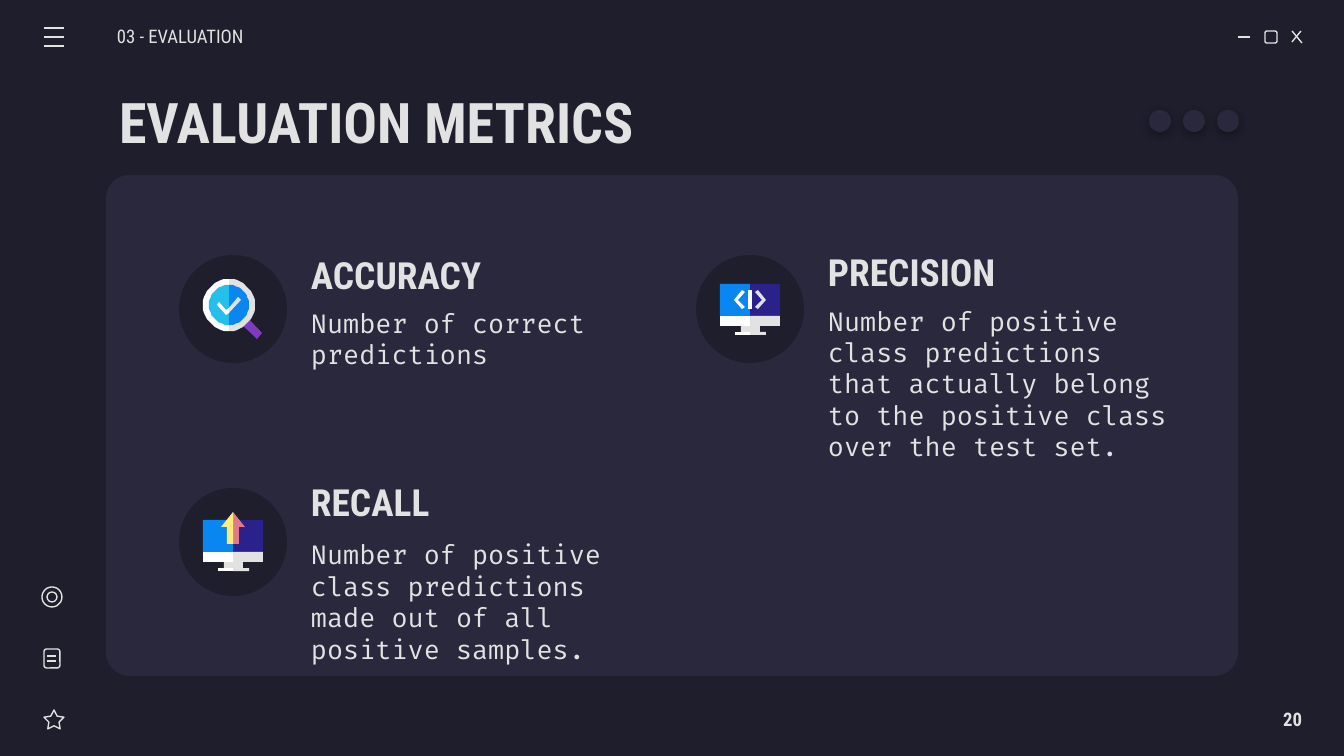
from dataclasses import dataclass
from math import cos, pi, sin

from lxml.etree import SubElement
from pptx import Presentation
from pptx.dml.color import RGBColor
from pptx.enum.shapes import MSO_CONNECTOR, MSO_SHAPE
from pptx.enum.text import MSO_ANCHOR, MSO_AUTO_SIZE, PP_ALIGN
from pptx.oxml import parse_xml
from pptx.oxml.ns import nsdecls, qn
from pptx.util import Pt

EMU_PER_PX = 914400 / 134.4


@dataclass(frozen=True)
class Theme:
    """Colours, fonts and type sizes of the deck."""
    night: str = "1E1E2C"
    panel: str = "29283D"
    light: str = "E2E2E2"
    white: str = "FFFFFF"
    blue: str = "0887F2"
    indigo: str = "2B218D"
    cyan: str = "24BFEB"
    purple: str = "7E3BBE"
    yellow: str = "FFEA7D"
    pink: str = "E07A88"
    heading_font: str = "Roboto Condensed"
    body_font: str = "Fira Code"
    title_size: int = 30
    heading_size: int = 20
    body_size: int = 14
    small_size: int = 10
    stroke: float = 0.75


def px(length):
    """Turn a length in px into EMU."""
    return round(length * EMU_PER_PX)


def half_disc(radius, side):
    """Return the outline of a half disc, with side -1 for left and 1 for right."""
    steps = 32
    angles = [pi * step / steps for step in range(steps + 1)]
    return [(side * radius * sin(angle), -radius * cos(angle)) for angle in angles]


def write_text(shape, text, size, font, color, bold=False, align=PP_ALIGN.LEFT,
               left_inset=13, right_inset=13):
    """Put one formatted paragraph into a shape."""
    frame = shape.text_frame
    frame.word_wrap = True
    frame.auto_size = MSO_AUTO_SIZE.NONE
    frame.vertical_anchor = MSO_ANCHOR.MIDDLE
    frame.margin_left, frame.margin_right = px(left_inset), px(right_inset)
    frame.margin_top = frame.margin_bottom = px(13)
    para = frame.paragraphs[0]
    para.alignment = align
    para.line_spacing = 1.0
    para.space_before = para.space_after = Pt(0)
    span = para.add_run()
    span.text = text
    span.font.size = Pt(size)
    span.font.name = font
    span.font.bold = bold
    span.font.color.rgb = RGBColor.from_string(color)


class Painter:
    """Draws elements on the current page in the given theme."""

    def __init__(self, page, theme):
        """Keep the page and theme, and colour the background."""
        self.page, self.theme = page, theme
        page.background.fill.solid()
        page.background.fill.fore_color.rgb = RGBColor.from_string(theme.night)

    def shape(self, kind, box, fill=None, adjust=None):
        """Add a filled preset shape, or an outlined one without a fill."""
        shape = self.page.shapes.add_shape(kind, *map(px, box))
        shape.shadow.inherit = False
        if adjust is not None:
            shape.adjustments[0] = adjust
        if fill:
            shape.fill.solid()
            shape.fill.fore_color.rgb = RGBColor.from_string(fill)
            shape.line.fill.background()
        else:
            shape.fill.background()
            shape.line.color.rgb = RGBColor.from_string(self.theme.light)
            shape.line.width = Pt(self.theme.stroke)
        return shape

    def line(self, *ends):
        """Add a thin line from x, y to x, y."""
        line = self.page.shapes.add_connector(MSO_CONNECTOR.STRAIGHT, *map(px, ends))
        line.line.color.rgb = RGBColor.from_string(self.theme.light)
        line.line.width = Pt(self.theme.stroke)
        SubElement(line._element.spPr, qn("a:effectLst"))

    def text(self, text, box, size, font, **style):
        """Add a text box."""
        shape = self.page.shapes.add_textbox(*map(px, box))
        write_text(shape, text, size, font, self.theme.light, **style)

    def title(self, text, box):
        """Place and fill the title placeholder."""
        shape = self.page.shapes.title
        shape.left, shape.top, shape.width, shape.height = map(px, box)
        write_text(shape, text, self.theme.title_size, self.theme.heading_font,
                   self.theme.light, bold=True)

    def polygons(self, left, top, pieces):
        """Add filled outlines given as colour and points around left, top."""
        for color, points in pieces:
            builder = self.page.shapes.build_freeform(*points[0], scale=EMU_PER_PX)
            builder.add_line_segments(points[1:])
            shape = builder.convert_to_shape(px(left), px(top))
            shape.shadow.inherit = False
            shape.fill.solid()
            shape.fill.fore_color.rgb = RGBColor.from_string(color)
            shape.line.fill.background()

    def dot(self, box):
        """Add a round dot with a soft shadow below it."""
        shape = self.shape(MSO_SHAPE.OVAL, box, self.theme.panel)
        effects = shape._element.spPr.find(qn("a:effectLst"))
        effects.append(parse_xml(
            f'<a:outerShdw {nsdecls("a")} blurRad="{Pt(4.5)}" dist="{Pt(1.5)}" '
            'dir="5400000" algn="bl" rotWithShape="0"><a:srgbClr val="000000">'
            '<a:alpha val="30000"/></a:srgbClr></a:outerShdw>'))

    def monitor(self, left, top, symbol):
        """Add a monitor, centred on left, with a symbol on its screen."""
        theme = self.theme
        self.polygons(left, top, [
            (theme.indigo, [(0, 0), (-3, 35), (30, 32), (30, 0)]),
            (theme.blue, [(-30, 0), (-30, 32), (0, 35), (0, 0)]),
            (theme.light, [(-3, 41), (0, 50), (10, 50), (10, 42)]),
            (theme.light, [(0, 41), (-9, 42), (-9, 50), (0, 50)]),
            (theme.light, [(0, 48), (-1, 50), (0, 51), (16, 51), (16, 48)]),
            (theme.white, [(-15, 48), (-15, 51), (0, 51), (0, 48)]),
            (theme.light, [(0, 32), (-3, 37), (0, 42), (30, 42), (30, 32)]),
            (theme.white, [(-30, 32), (-30, 42), (0, 42), (0, 32)]),
            *symbol])

    def magnifier(self, left, top):
        """Add a magnifier with a check mark, centred on left, top."""
        theme = self.theme
        self.polygons(left, top, [
            (theme.purple, [(17, 11), (10, 17), (28, 34), (33, 28)]),
            (theme.light, half_disc(26, 1)),
            (theme.white, half_disc(26, -1)),
            (theme.blue, half_disc(20, 1)),
            (theme.cyan, half_disc(20, -1)),
            (theme.light, [(9, -8), (0, 3), (-1, 5), (0, 8), (12, -5)]),
            (theme.white, [(-10, -3), (-12, 0), (-3, 10), (0, 8), (0, 3), (-3, 5)])])

    def metric(self, left, top, heading, heading_top, body, body_top, body_height):
        """Add the disc, heading and description of one metric."""
        theme = self.theme
        self.shape(MSO_SHAPE.OVAL, (left, top, 108, 108), theme.night)
        self.text(heading, (left + 119, heading_top, 367, 58), theme.heading_size,
                  theme.heading_font, bold=True)
        self.text(body, (left + 119, body_top, 367, body_height), theme.body_size,
                  theme.body_font)


def main():
    """Build the evaluation metrics slide."""
    deck = Presentation()
    deck.slide_width, deck.slide_height = px(1344), px(756)
    theme = Theme()
    painter = Painter(deck.slides.add_slide(deck.slide_layouts[5]), theme)

    painter.shape(MSO_SHAPE.ROUNDED_RECTANGLE, (106, 175, 1132, 501), theme.panel, 0.047)
    painter.title("EVALUATION METRICS", (106, 79, 1132, 85))
    painter.text("03 - EVALUATION", (117, 16, 157, 40), theme.small_size,
                 theme.heading_font, left_inset=0)
    painter.text("20", (1145, 699, 157, 40), theme.small_size, theme.heading_font,
                 bold=True, align=PP_ALIGN.RIGHT, right_inset=0)

    menu = [(44, top, 64, top) for top in (28, 37, 46)]
    window = [(1238, 37, 1250, 37), (1292, 31, 1302, 43), (1301, 31, 1292, 42)]
    note = [(47, top, 56, top) for top in (656, 661)]
    for ends in menu + window + note:
        painter.line(*ends)
    for kind, box, adjust in (
            (MSO_SHAPE.ROUNDED_RECTANGLE, (1265, 31, 12, 12), 0.167),
            (MSO_SHAPE.OVAL, (42, 587, 20, 20), None),
            (MSO_SHAPE.OVAL, (47, 592, 10, 10), None),
            (MSO_SHAPE.ROUNDED_RECTANGLE, (44, 649, 16, 19), 0.167),
            (MSO_SHAPE.STAR_5_POINT, (44, 710, 20, 19), 0.254)):
        painter.shape(kind, box, adjust=adjust)
    for column in range(3):
        painter.dot((1149 + 34 * column, 110, 22, 22))

    painter.metric(179, 255, "ACCURACY", 246, "Number of correct predictions", 301, 75)
    painter.metric(696, 255, "PRECISION", 243, "Number of positive class predictions that "
                   "actually belong to the positive class over the test set.", 301, 165)
    painter.metric(179, 488, "RECALL", 473, "Number of positive class predictions made "
                   "out of all positive samples.", 531, 141)

    bracket = [(-8, 6), (-16, 16), (-8, 25), (-5, 23), (-12, 16), (-5, 8)]
    code = [(theme.white, bracket),
            (theme.light, [(-x, y) for x, y in bracket]),
            (theme.white, [(-2, 6), (-2, 25), (2, 25), (2, 6)])]
    arrow = [(theme.pink, [(0, -8), (-3, 9), (0, 24), (6, 24), (6, 7), (12, 7)]),
             (theme.yellow, [(0, -8), (-12, 7), (-6, 7), (-6, 24), (0, 24)])]
    painter.magnifier(229, 305)
    painter.monitor(750, 284, code)
    painter.monitor(233, 520, arrow)
    deck.save("out.pptx")


if __name__ == "__main__":
    main()
